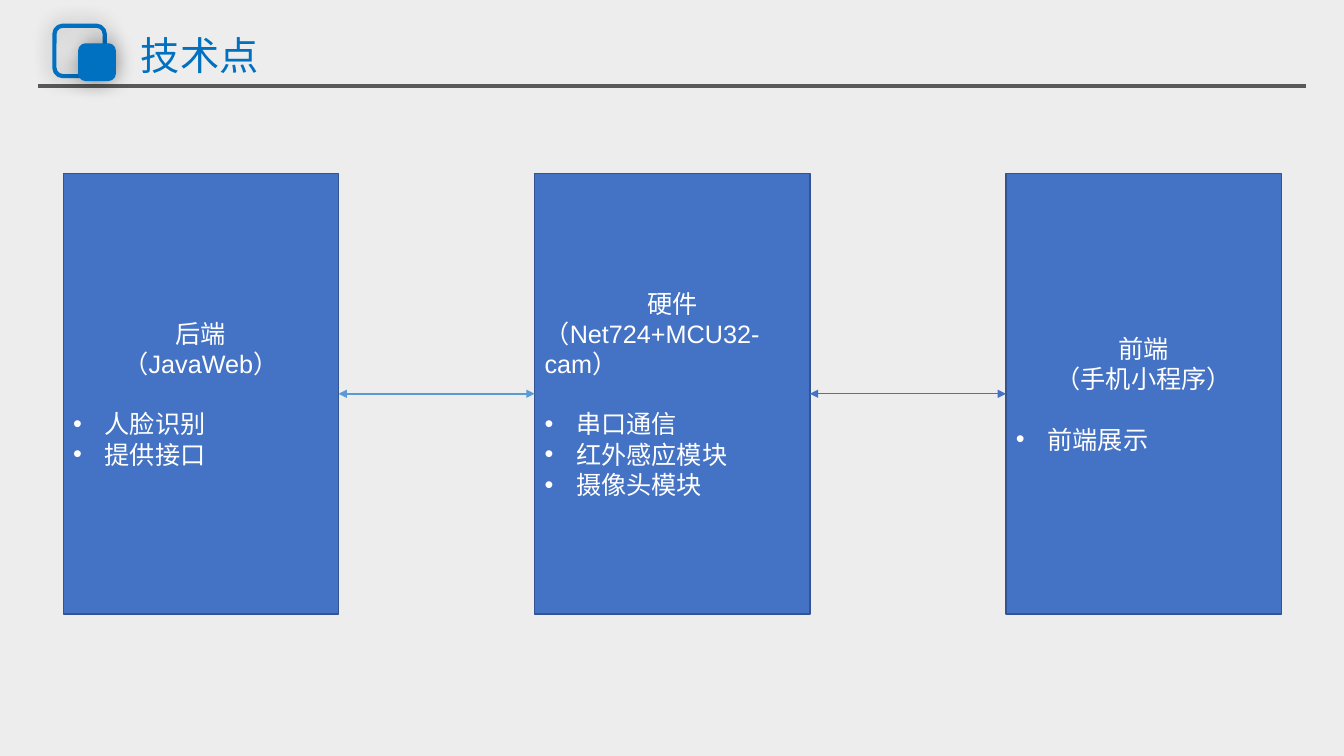
from dataclasses import dataclass
from itertools import pairwise

from lxml import etree
from pptx import Presentation
from pptx.dml.color import RGBColor
from pptx.enum import shapes, text
from pptx.oxml import ns
from pptx.util import Pt


@dataclass(frozen=True)
class Theme:
    font: str = "Arial"
    title_size: float = 28
    body_size: float = 18
    backdrop: str = "EDEDED"
    accent: str = "0070C0"
    rule: str = "595959"
    box: str = "4472C4"
    box_edge: str = "325491"
    arrow: str = "5B9BD5"
    on_box: str = "FFFFFF"
    shadow: str = "000000"


THEME = Theme()
CENTER, LEFT = text.PP_ALIGN.CENTER, text.PP_ALIGN.LEFT

# Heading lines with their alignment, then bullet points
MODULES = [
    ([("后端", CENTER), ("（JavaWeb）", CENTER)], ["人脸识别", "提供接口"]),
    ([("硬件", CENTER), ("（Net724+MCU32-cam）", LEFT)],
     ["串口通信", "红外感应模块", "摄像头模块"]),
    ([("前端", CENTER), ("（手机小程序）", CENTER)], ["前端展示"]),
]
ARROW_STYLES = [(THEME.arrow, 1.5), (THEME.box, 0.5)]

BOX_LEFT, BOX_TOP, BOX_WIDTH, BOX_HEIGHT = 45.2, 124, 196.6, 314.6
BOX_PITCH = 336.7
BULLET_INDENT = 22.5
LIST_GAP = 21.4


def rgb(color):
    return RGBColor.from_string(color)


def child(parent, tag, **attributes):
    return etree.SubElement(parent, ns.qn(tag), attributes)


def style_line(line, color, width):
    line.color.rgb = rgb(color)
    line.width = Pt(width)


def add_box(page, kind, left, top, width, height, fill, edge, edge_width):
    box = page.shapes.add_shape(kind, Pt(left), Pt(top), Pt(width), Pt(height))
    box.shadow.inherit = False
    if fill:
        box.fill.solid()
        box.fill.fore_color.rgb = rgb(fill)
    else:
        box.fill.background()
    style_line(box.line, edge, edge_width)
    return box


def add_glow(box):
    effects = box._element.spPr.find(ns.qn("a:effectLst"))
    shadow = child(effects, "a:outerShdw", blurRad=str(Pt(15)), dist="0",
                   algn="ctr", rotWithShape="0")
    color = child(shadow, "a:srgbClr", val=THEME.shadow)
    child(color, "a:alpha", val="40000")


def add_line(page, start, end, color, width):
    line = page.shapes.add_connector(
        shapes.MSO_CONNECTOR.STRAIGHT, *(Pt(value) for value in start + end))
    style_line(line.line, color, width)
    child(line._element.spPr, "a:effectLst")
    return line


def add_double_arrow(page, source, target, color, width):
    arrow = add_line(page, (0, 0), (0, 0), color, width)
    arrow.begin_connect(source, 3)
    arrow.end_connect(target, 1)
    outline = arrow.line._get_or_add_ln()
    for end in ("a:headEnd", "a:tailEnd"):
        child(outline, end, type="triangle")


def style_para(para, size, color):
    para.font.name = THEME.font
    para.font.size = Pt(size)
    para.font.color.rgb = rgb(color)


def add_header(page):
    add_line(page, (27, 61.6), (933, 61.6), THEME.rule, 3)
    rounded = shapes.MSO_SHAPE.ROUNDED_RECTANGLE
    for left, top, side, fill in [(38.9, 18.4, 36, None),
                                  (57.3, 32.4, 24, THEME.accent)]:
        add_glow(add_box(page, rounded, left, top, side, side,
                         fill, THEME.accent, 3))
    title = page.shapes.add_textbox(Pt(93.6), Pt(23), Pt(373), Pt(36))
    frame = title.text_frame
    frame.word_wrap = True
    frame.vertical_anchor = text.MSO_ANCHOR.MIDDLE
    para = frame.paragraphs[0]
    para.text = "技术点"
    para.line_spacing = 0.9
    style_para(para, THEME.title_size, THEME.accent)


def add_module(page, left, headings, points):
    box = add_box(page, shapes.MSO_SHAPE.RECTANGLE, left, BOX_TOP, BOX_WIDTH,
                  BOX_HEIGHT, THEME.box, THEME.box_edge, 1)
    frame = box.text_frame
    frame.word_wrap = True
    frame.vertical_anchor = text.MSO_ANCHOR.MIDDLE
    lines = headings + [(point, LEFT) for point in points]
    for index, (wording, alignment) in enumerate(lines):
        para = frame.add_paragraph() if index else frame.paragraphs[0]
        para.text = wording
        para.alignment = alignment
        if index >= len(headings):
            add_bullet(para)
        if index == len(headings):
            para.space_before = Pt(LIST_GAP)
        style_para(para, THEME.body_size, THEME.on_box)
    return box


def add_bullet(para):
    properties = para._p.get_or_add_pPr()
    properties.set("marL", str(Pt(BULLET_INDENT)))
    properties.set("indent", str(-Pt(BULLET_INDENT)))
    child(properties, "a:buFont", typeface=THEME.font)
    child(properties, "a:buChar", char="•")


def main():
    deck = Presentation()
    deck.slide_width, deck.slide_height = Pt(960), Pt(540)
    page = deck.slides.add_slide(deck.slide_layouts[6])
    page.background.fill.solid()
    page.background.fill.fore_color.rgb = rgb(THEME.backdrop)

    # Title band
    add_header(page)

    # Three modules, evenly spaced
    boxes = [add_module(page, BOX_LEFT + index * BOX_PITCH, *module)
             for index, module in enumerate(MODULES)]

    # Two-way links between neighbours
    for (source, target), style in zip(pairwise(boxes), ARROW_STYLES):
        add_double_arrow(page, source, target, *style)

    deck.save("out.pptx")


if __name__ == "__main__":
    main()
